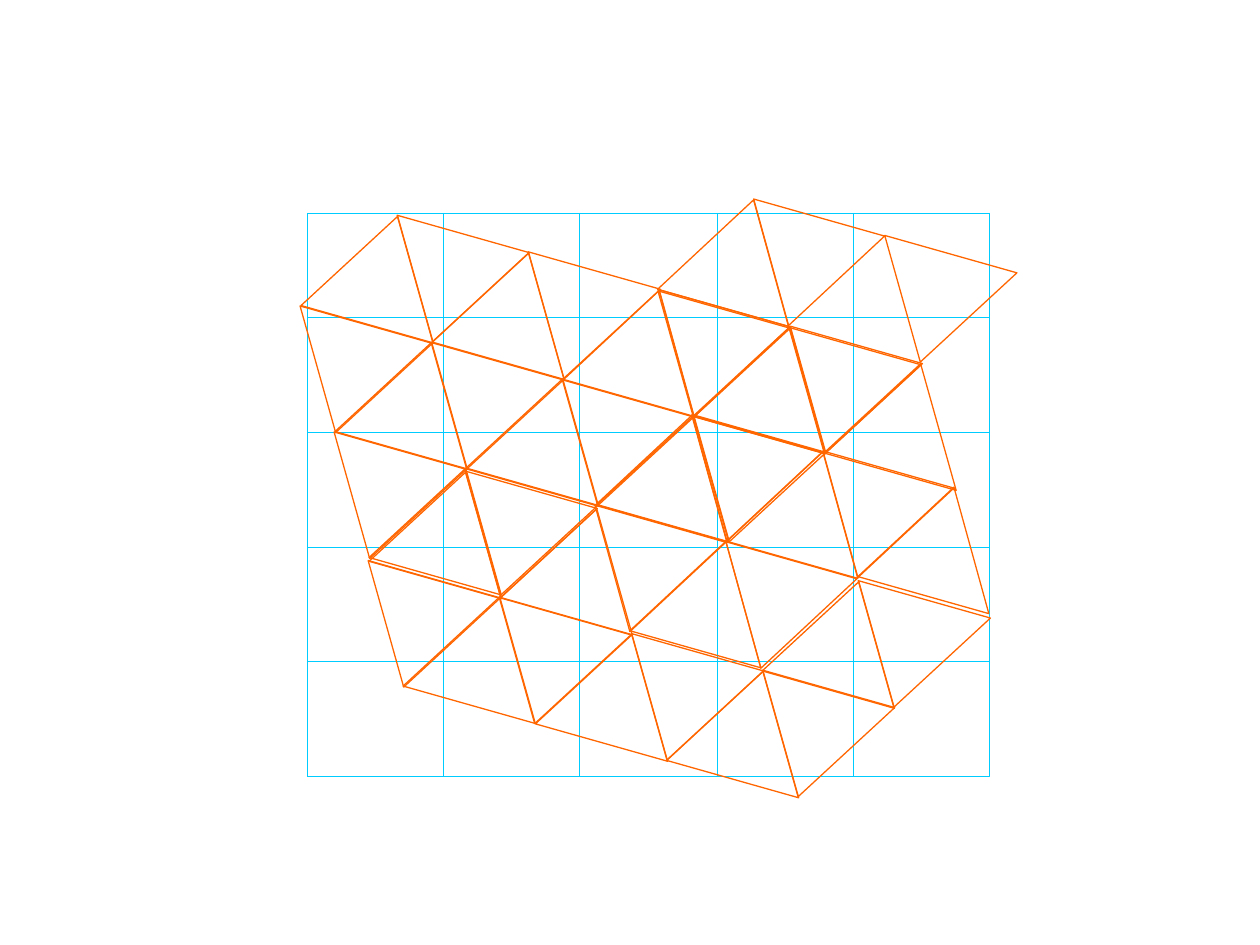
"""Draw a rectangular grid overlaid with a tilted mesh of triangles."""
from lxml import etree
from pptx import Presentation
from pptx import util as u
from pptx.dml.color import RGBColor
from pptx.enum import shapes
from pptx.oxml.ns import qn

PX = u.Inches(1) // 100
THEME = {
    "grid": RGBColor.from_string("00CCFF"),
    "mesh": RGBColor.from_string("FF6600"),
    "grid_width": u.Pt(0.25),
    "mesh_width": u.Pt(0.75),
}


def add_outline(group, kind, left, top, width, height, name, rotation=0):
    shape = group.shapes.add_shape(kind, left * PX, top * PX, width * PX, height * PX)
    shape.rotation = rotation
    shape.shadow.inherit = False
    shape.fill.background()
    shape.line.color.rgb = THEME[name]
    shape.line.width = THEME[name + "_width"]


def add_rule(group, left, top, right, bottom):
    connector = group.shapes.add_connector(
        shapes.MSO_CONNECTOR.STRAIGHT, left * PX, top * PX, right * PX, bottom * PX)
    connector.line.color.rgb = THEME["grid"]
    connector.line.width = THEME["grid_width"]
    etree.SubElement(connector.element.spPr, qn("a:effectLst"))


presentation = Presentation()
presentation.slide_width = 1000 * PX
presentation.slide_height = 750 * PX
slide = presentation.slides.add_slide(presentation.slide_layouts[6])

columns = [round(244 + 108.2 * index) for index in range(6)]
rows = [169] + [252 + 91 * index for index in range(5)]
grid = slide.shapes.add_group_shape()
for top, bottom in reversed(list(zip(rows, rows[1:]))):
    for left, right in reversed(list(zip(columns, columns[1:]))):
        add_outline(grid, shapes.MSO_SHAPE.RECTANGLE, left, top,
                    right - left, bottom - top, "grid")
for row in rows:
    add_rule(grid, columns[0], row, columns[-1], row)
for column in columns:
    add_rule(grid, column, rows[0], column, rows[-1])

UP, DOWN = 15.8, 195.8
STRIPS = [
    (249, 170, 109, UP, 4),
    (224, 256, 109, DOWN, 4),
    (251, 356, 109, DOWN, 3),
    (457, 229, 108, UP, 3),
    (432, 314, 109, DOWN, 3),
    (483, 328, 108, UP, 5),
    (458, 414, 108, DOWN, 3),
    (435, 502, 109, UP, 4),
    (303, 373, 109, UP, 3),
    (278, 458, 109, DOWN, 3),
    (615, 460, 109, UP, 2),
    (508, 244, 109, DOWN, 4),
    (613, 272, 109, DOWN, 1),
    (532, 157, 108, UP, 2),
    (688, 200, 109, DOWN, 1),
]
mesh = slide.shapes.add_group_shape()
for left, top, width, first_rotation, count in STRIPS:
    for index in range(count):
        rotation = (first_rotation + 180 * index) % 360
        add_outline(mesh, shapes.MSO_SHAPE.ISOSCELES_TRIANGLE, left + 52 * index,
                    top + round(index * 43 / 3), width, 89, "mesh", rotation)

presentation.save("out.pptx")
